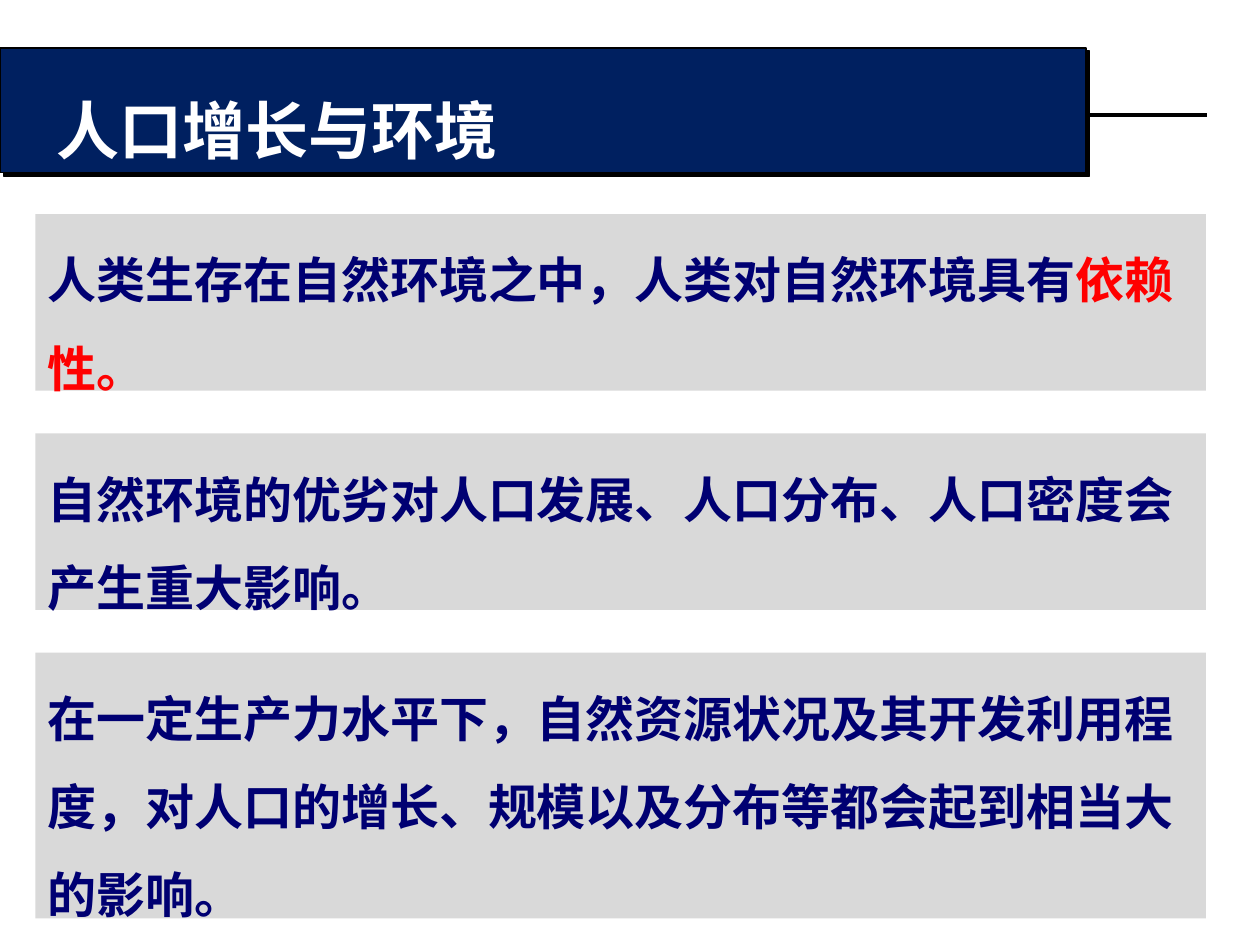
from dataclasses import dataclass

import pptx
import pptx.dml.color
import pptx.enum.lang
import pptx.enum.shapes
import pptx.enum.text
import pptx.oxml
import pptx.oxml.ns
import pptx.util
from pptx.util import Inches


@dataclass(frozen=True)
class Theme:
    navy: str = "002060"
    body: str = "000072"
    accent: str = "FF0000"
    panel: str = "D9D9D9"
    white: str = "FFFFFF"
    black: str = "000000"
    title_size: int = 36
    body_size: int = 28
    title_font: str = "Arial"
    chinese_font: str = "Noto Sans CJK SC"
    line_spacing: float = 1.5


THEME = Theme()
PANEL_LEFT, PANEL_TOP, PANEL_WIDTH, PANEL_GAP = 0.28, 1.7, 9.29, 0.34
# Each panel: height, then its runs as (text, colour)
PANELS = [
    (1.4, [("人类生存在自然环境之中，人类对自然环境具有", THEME.body),
           ("依赖性。", THEME.accent)]),
    (1.4, [("自然环境的优劣对人口发展、人口分布、人口密度会产生重大影响。", THEME.body)]),
    (2.11, [("在一定生产力水平下，自然资源状况及其开发利用程度，"
             "对人口的增长、规模以及分布等都会起到相当大的影响。", THEME.body)]),
]


def rgb(colour):
    return pptx.dml.color.RGBColor.from_string(colour)


def drawing_xml(xml):
    """Parse a DrawingML element whose root takes the a: namespace."""
    head, tail = xml.split(" ", 1)
    return pptx.oxml.parse_xml(f"{head} {pptx.oxml.ns.nsdecls('a')} {tail}")


def format_run(run, font_name, size, colour):
    run.font.name = font_name
    run.font.size = pptx.util.Pt(size)
    run.font.bold = True
    run.font.color.rgb = rgb(colour)
    run.font.language_id = pptx.enum.lang.MSO_LANGUAGE_ID.SIMPLIFIED_CHINESE
    latin = run.font._element.find(pptx.oxml.ns.qn("a:latin"))
    latin.addnext(drawing_xml(f'<a:ea typeface="{THEME.chinese_font}"/>'))


def add_banner(slide, text):
    """Turn the title placeholder into an arrow-shaped banner with a hard shadow."""
    banner = slide.shapes.title
    banner.left, banner.top = Inches(0), Inches(0.38)
    banner.width, banner.height = Inches(8.62), Inches(0.99)
    properties = banner._element.spPr
    properties.append(drawing_xml(
        '<a:prstGeom prst="homePlate"><a:avLst>'
        '<a:gd name="adj" fmla="val 286600"/></a:avLst></a:prstGeom>'))
    banner.fill.solid()
    banner.fill.fore_color.rgb = rgb(THEME.navy)
    banner.line.color.rgb = rgb(THEME.black)
    banner.line.width = pptx.util.Pt(1)
    properties.append(drawing_xml(
        '<a:effectLst ><a:outerShdw dist="35560" dir="2700000" algn="ctr" rotWithShape="0">'
        f'<a:srgbClr val="{THEME.black}"/></a:outerShdw></a:effectLst>'))

    frame = banner.text_frame
    frame.text = text
    frame.word_wrap = True
    frame.auto_size = pptx.enum.text.MSO_AUTO_SIZE.NONE
    frame.vertical_anchor = pptx.enum.text.MSO_ANCHOR.MIDDLE
    frame.margin_left, frame.margin_right = Inches(0.45), Inches(0)
    frame.margin_top = frame.margin_bottom = Inches(0.05)
    paragraph = frame.paragraphs[0]
    paragraph.alignment = pptx.enum.text.PP_ALIGN.LEFT
    paragraph.line_spacing = THEME.line_spacing
    format_run(paragraph.runs[0], THEME.title_font, THEME.title_size, THEME.white)


def add_rule_behind(slide):
    """Draw the horizontal rule behind the banner."""
    rule = slide.shapes.add_connector(
        pptx.enum.shapes.MSO_CONNECTOR.STRAIGHT,
        Inches(0.42), Inches(0.91), Inches(9.58), Inches(0.91))
    rule.line.color.rgb = rgb(THEME.black)
    rule.line.width = pptx.util.Pt(2.25)
    rule._element.spPr.append(drawing_xml("<a:effectLst />"))
    slide.shapes.title._element.addprevious(rule._element)


def add_panel(slide, top, height, runs):
    panel = slide.shapes.add_textbox(
        Inches(PANEL_LEFT), Inches(top), Inches(PANEL_WIDTH), Inches(height))
    panel.fill.solid()
    panel.fill.fore_color.rgb = rgb(THEME.panel)
    frame = panel.text_frame
    frame.word_wrap = True
    frame.auto_size = pptx.enum.text.MSO_AUTO_SIZE.SHAPE_TO_FIT_TEXT
    paragraph = frame.paragraphs[0]
    paragraph.line_spacing = THEME.line_spacing
    for text, colour in runs:
        run = paragraph.add_run()
        run.text = text
        format_run(run, THEME.chinese_font, THEME.body_size, colour)


def main():
    presentation = pptx.Presentation()
    presentation.slide_width, presentation.slide_height = Inches(10), Inches(7.5)
    title_only = presentation.slide_layouts[5]
    slide = presentation.slides.add_slide(title_only)
    add_banner(slide, "人口增长与环境")
    add_rule_behind(slide)
    top = PANEL_TOP
    for height, runs in PANELS:
        add_panel(slide, top, height, runs)
        top += height + PANEL_GAP
    presentation.save("out.pptx")


if __name__ == "__main__":
    main()
